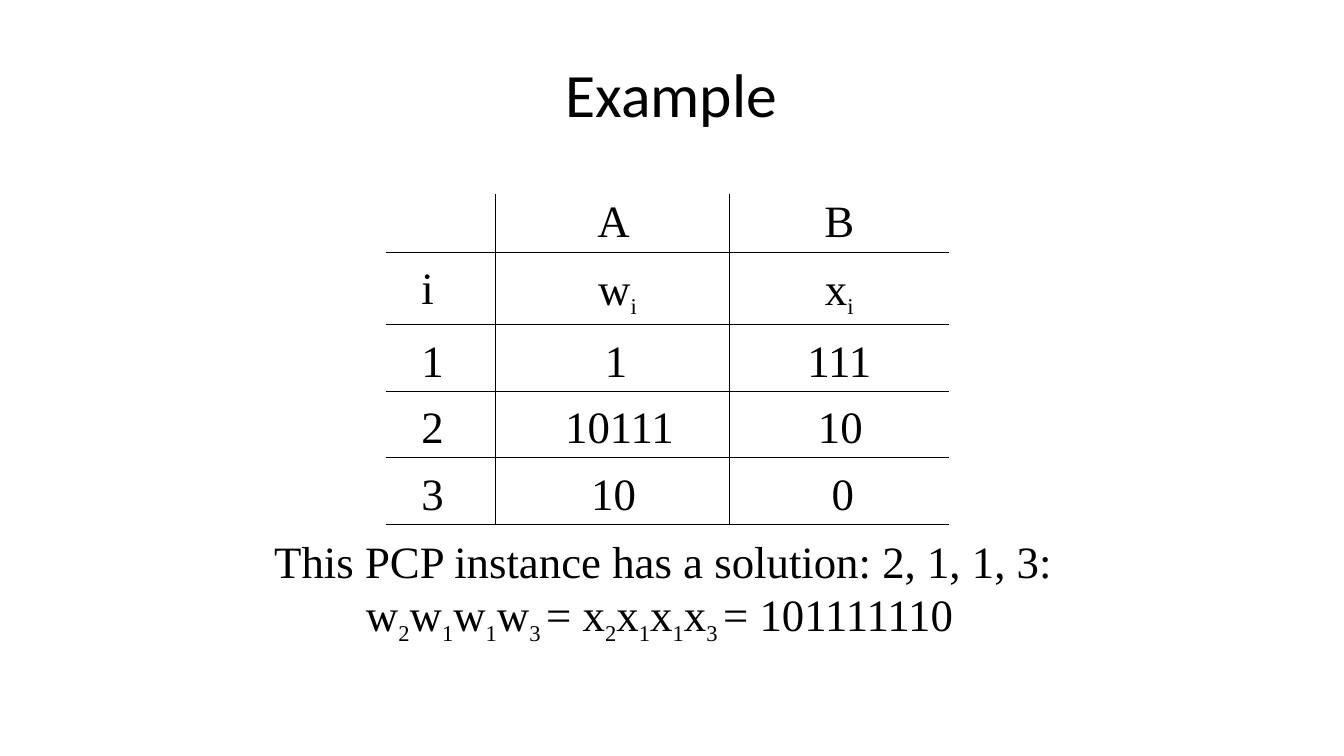
from lxml import etree
from pptx import Presentation
from pptx import util as u
from pptx.dml.color import RGBColor
from pptx.enum import text
from pptx.oxml.ns import qn

THEME = {
    "ink": RGBColor(0, 0, 0),
    "title": {"name": "Calibri", "size": u.Pt(44)},
    "body": {"name": "Times New Roman", "size": u.Pt(32)},
    "subscript": {"name": "Times New Roman", "size": u.Pt(27.8)},
    "rule": u.Pt(0.75),
}


def write(paragraph, content, style="body", margin=0, indent=0):
    """Write content; parts between underscores become subscripts."""
    properties = paragraph._p.get_or_add_pPr()
    properties.set("marL", str(u.Inches(margin)))
    properties.set("indent", str(u.Inches(indent)))
    for number, part in enumerate(content.split("_")):
        if not part:
            continue
        lowered = number % 2 == 1
        run = paragraph.add_run()
        run.text = part
        for name, value in THEME["subscript" if lowered else style].items():
            setattr(run.font, name, value)
        run.font.color.rgb = THEME["ink"]
        if lowered:
            run._r.get_or_add_rPr().set("baseline", "-25000")


def add_text(slide, left, top, width, height, anchor):
    shape = slide.shapes.add_textbox(*map(u.Inches, (left, top, width, height)))
    frame = shape.text_frame
    settings = {"word_wrap": True, "vertical_anchor": anchor, "margin_left": 0,
                "margin_right": 0, "margin_top": u.Inches(0.01), "margin_bottom": 0}
    for name, value in settings.items():
        setattr(frame, name, value)
    return frame.paragraphs[0]


presentation = Presentation()
presentation.slide_width = u.Inches(13.33)
presentation.slide_height = u.Inches(7.5)
slide = presentation.slides.add_slide(presentation.slide_layouts[6])

# Title
title = add_text(slide, 5.6, 0.54, 2.14, 0.76, text.MSO_ANCHOR.MIDDLE)
write(title, "Example", "title", margin=0.01)

# Table of the two word lists: each cell is its text and left indent
rows = [
    [("", 0), ("A", 0.02), ("B", 0)],
    [("i", 0.35), ("w_i_", 0.1), ("x_i_", 0)],
    [("1", 0.35), ("1", 0.07), ("111", 0)],
    [("2", 0.35), ("10111", 0.14), ("10", 0.02)],
    [("3", 0.35), ("10", 0.02), ("0", 0.07)],
]
column_widths = [1.08, 2.33, 2.17]
row_heights = [0.5] + [0.58] * 4
table = slide.shapes.add_table(
    len(rows), len(column_widths), u.Inches(3.83), u.Inches(1.92),
    u.Inches(sum(column_widths)), u.Inches(sum(row_heights))).table
table.first_row = False
table.horz_banding = False
for column, width in zip(table.columns, column_widths):
    column.width = u.Inches(width)

for row_number, (row, height) in enumerate(zip(rows, row_heights)):
    table.rows[row_number].height = u.Inches(height)
    for column_number, (content, margin) in enumerate(row):
        cell = table.cell(row_number, column_number)
        settings = {"margin_left": 0, "margin_right": 0, "margin_bottom": 0,
                    "margin_top": u.Inches(0.08 if row_number else 0)}
        for name, value in settings.items():
            setattr(cell, name, value)

        # Inner rules and the bottom edge; the other outer edges stay open
        ruled = {"lnL": column_number > 0,
                 "lnR": column_number < len(row) - 1,
                 "lnT": row_number > 0,
                 "lnB": True}
        for side, drawn in ruled.items():
            line = etree.SubElement(cell._tc.get_or_add_tcPr(), qn(f"a:{side}"))
            line.set("w", str(THEME["rule"]))
            fill = etree.SubElement(line, qn("a:solidFill" if drawn else "a:noFill"))
            if drawn:
                etree.SubElement(fill, qn("a:srgbClr")).set("val", str(THEME["ink"]))
        cell.fill.background()

        paragraph = cell.text_frame.paragraphs[0]
        paragraph.line_spacing = 1.09
        if column_number:
            paragraph.alignment = text.PP_ALIGN.CENTER
        write(paragraph, content, margin=margin)

# Solution
solution = add_text(slide, 2.68, 5.28, 7.83, 1.09, text.MSO_ANCHOR.TOP)
hanging = {"margin": 0.95, "indent": -0.91}
write(solution, "This PCP instance has a solution: 2, 1, 1, 3:", **hanging)
solution.add_line_break()
write(solution, "w_2_w_1_w_1_w_3 _= x_2_x_1_x_1_x_3 _= 101111110", **hanging)

presentation.save("out.pptx")
